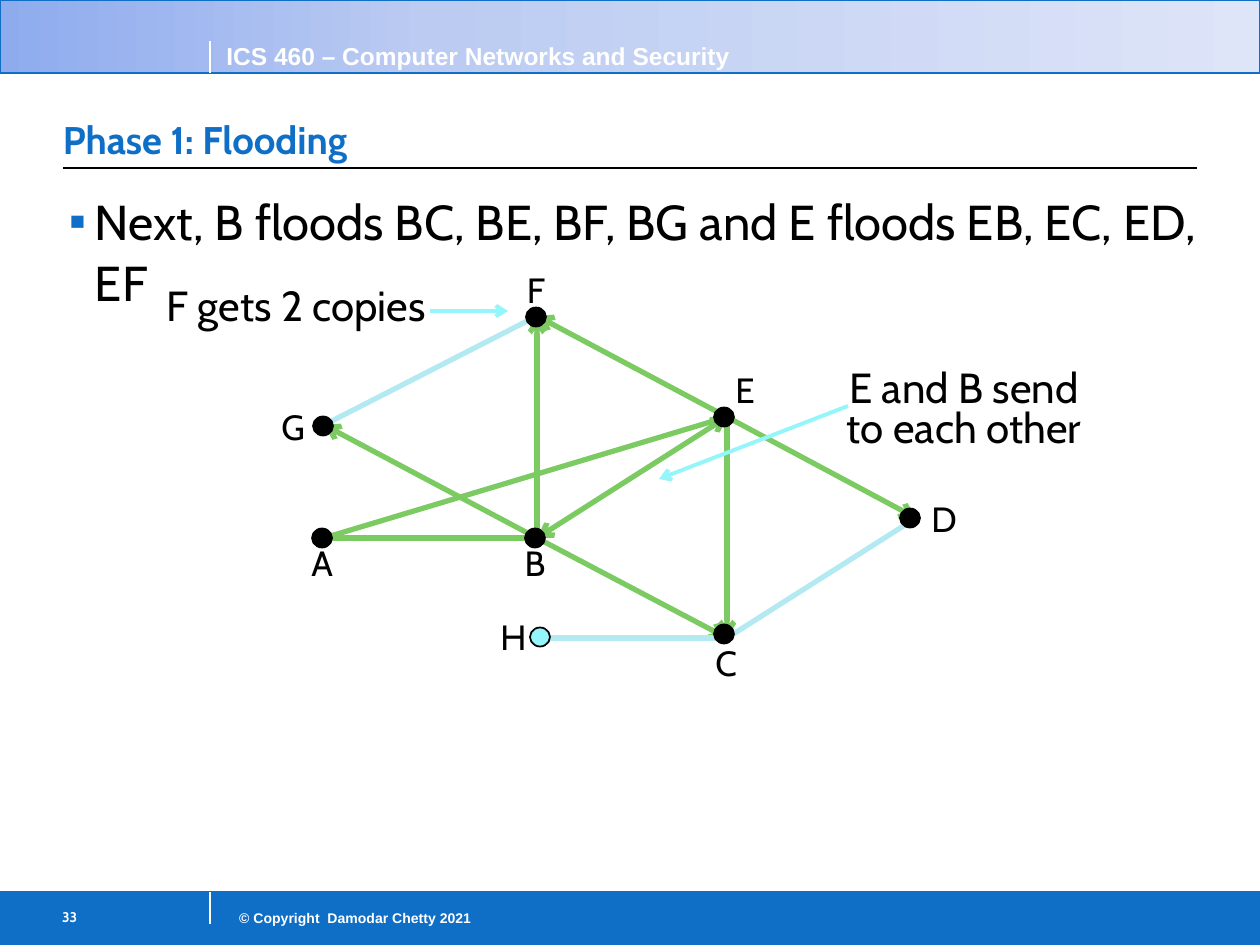
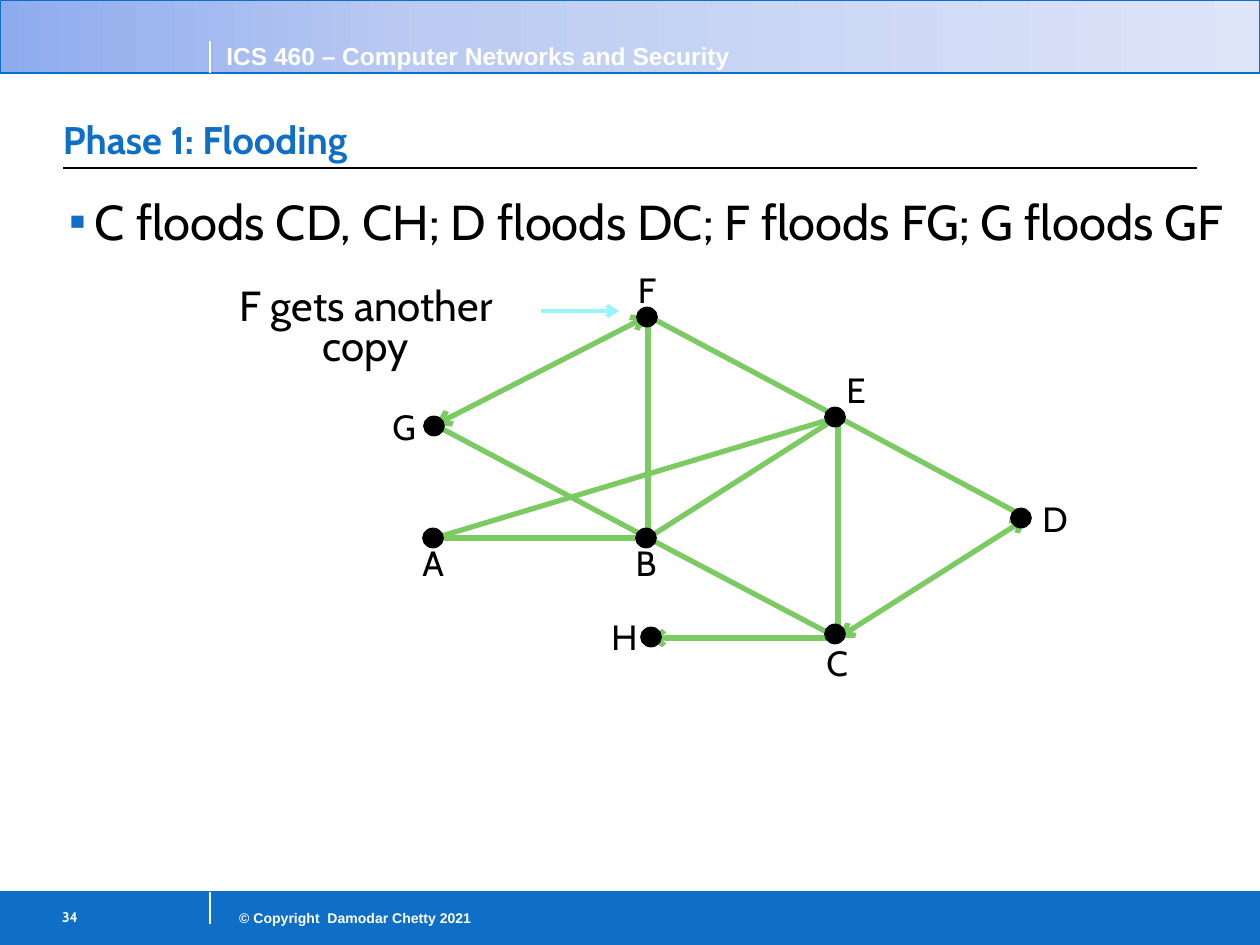
from collections import namedtuple
from copy import deepcopy

from pptx import Presentation
from pptx.dml.color import RGBColor
from pptx.enum.shapes import MSO_CONNECTOR, MSO_SHAPE
from pptx.enum.text import MSO_ANCHOR as ANCHOR, PP_ALIGN as ALIGN
from pptx.oxml.ns import qn
from pptx.util import Emu, Pt

EMU_PER_PX = 914400 / 126
SLIDE_W, SLIDE_H = 1260, 945

COLORS = {
    "blue": "0F6FC6", "white": "FFFFFF", "black": "000000",
    "flooded": "7CCA62", "idle": "B3EAF2", "pointer": "94F5FA",
}
HEADER_STOPS = [(0, "8EABEE"), (0.34, "BBCBF2"), (1, "DEE5F8")]

Box = namedtuple("Box", "left top width height")
Node = namedtuple("Node", "joint dot label")
Callout = namedtuple("Callout", "words box start end")

HEADER = Box(0, 0, SLIDE_W, 73)
FOOTER = Box(0, 892, SLIDE_W, 53)
TITLE = Box(63, 77, 1134, 91)
BODY = Box(63, 183, 1197, 679)
DIVIDER_X = 210

# Positions are relative to the top left corner of the network.
NODES = {
    "A": Node((56, 277), (54, 277), (54, 301)),
    "B": Node((269, 277), (267, 277), (267, 301)),
    "C": Node((459, 377), (456, 373), (458, 401)),
    "D": Node((648, 257), (642, 257), (674, 257)),
    "E": Node((459, 156), (456, 156), (477, 128)),
    "F": Node((269, 55), (268, 56), (268, 28)),
    "G": Node((56, 164), (55, 165), (24, 165)),
    "H": Node((269, 377), (272, 376), (243, 375)),
}
EDGES = "AB BC CE BE AE BF BG GF FE ED CD CH".split()
DOT_W, DOT_H = 20, 19
LABEL_W, LABEL_H = 46, 55

PHASES = [
    {
        "number": "33",
        "bullet": "Next, B floods BC, BE, BF, BG and E floods EB, EC, ED, EF",
        "origin": (268, 261),
        "floods": "BC BE BF BG EB EC ED EF".split(),
        "idle": ["GF", "CD", "CH"],
        "unreached": ["H"],
        "callouts": [
            Callout("E and B send to each other", Box(552, 104, 288, 95),
                    (580, 145), (391, 218)),
            Callout("F gets 2 copies", Box(-116, 22, 288, 54),
                    (162, 50), (240, 50)),
        ],
    },
    {
        "number": "34",
        "bullet": "C floods CD, CH; D floods DC; F floods FG; G floods GF",
        "origin": (379, 261),
        "floods": "CD CH DC FG GF".split(),
        "idle": [],
        "unreached": [],
        "callouts": [
            Callout("F gets another copy", Box(-195, 22, 364, 54),
                    (162, 50), (240, 50)),
        ],
    },
]


def px(length):
    return Emu(round(length * EMU_PER_PX))


def color(name):
    return RGBColor.from_string(COLORS[name])


def shift(point, origin):
    return point[0] + origin[0], point[1] + origin[1]


def centered(point, width, height):
    return Box(point[0] - width / 2, point[1] - height / 2, width, height)


def add_block(slide, kind, box, fill, line, weight):
    block = slide.shapes.add_shape(kind, *map(px, box))
    block.shadow.inherit = False
    block.fill.solid()
    block.fill.fore_color.rgb = color(fill)
    block.line.color.rgb = color(line)
    block.line.width = Pt(weight)
    return block


def add_line(slide, start, end, ink, weight, arrows=()):
    """Draw a straight line; arrows may hold "headEnd" (start), "tailEnd" (end)."""
    line = slide.shapes.add_connector(
        MSO_CONNECTOR.STRAIGHT, *map(px, (*start, *end)))
    line.line.color.rgb = color(ink)
    line.line.width = Pt(weight)
    outline = line.line._get_or_add_ln()
    for arrow in arrows:
        tip = outline.makeelement(qn(f"a:{arrow}"), {"type": "arrow"})
        outline.append(tip)
    properties = line._element.spPr
    properties.append(properties.makeelement(qn("a:effectLst"), {}))


def add_text(slide, box, words, size, font="Cabin", ink="black", bold=False,
             align=ALIGN.LEFT, spacing=None, bullet=None, **frame_format):
    frame = slide.shapes.add_textbox(*map(px, box)).text_frame
    frame.word_wrap = True
    for name, value in frame_format.items():
        setattr(frame, name, value)
    paragraph = frame.paragraphs[0]
    paragraph.text = words
    paragraph.alignment = align
    if spacing:
        paragraph.line_spacing = spacing
    if bullet:
        add_bullet(paragraph, bullet)
    for name, value in {"size": Pt(size), "name": font, "bold": bold}.items():
        setattr(paragraph.font, name, value)
    paragraph.font.color.rgb = color(ink)


def add_bullet(paragraph, mark, indent=26):
    properties = paragraph._p.get_or_add_pPr()
    properties.set("marL", str(px(indent)))
    properties.set("indent", str(-px(indent)))
    tint = properties.makeelement(qn("a:buClr"), {})
    tint.append(tint.makeelement(qn("a:srgbClr"), {"val": COLORS["blue"]}))
    properties.append(tint)
    for tag, key, value in (("buFont", "typeface", "Arial"),
                            ("buChar", "char", mark)):
        properties.append(properties.makeelement(qn(f"a:{tag}"), {key: value}))


def draw_header(slide, box):
    band = add_block(slide, MSO_SHAPE.RECTANGLE, box, "blue", "blue", 0.75)
    band.fill.gradient()
    band.fill.gradient_angle = 0
    stop_list = band._element.spPr.find(".//" + qn("a:gsLst"))
    stop_list.append(deepcopy(stop_list[-1]))
    for stop, (position, tint) in zip(band.fill.gradient_stops, HEADER_STOPS):
        stop.position = position
        stop.color.rgb = RGBColor.from_string(tint)
    bottom = box.top + box.height
    add_line(slide, (box.left, bottom), (box.left + box.width, bottom),
             "blue", 0.5)
    add_line(slide, (DIVIDER_X, bottom), (DIVIDER_X, bottom - 32),
             "white", 0.75)
    add_text(slide, Box(box.left + 214, box.top + 35, 542, 43),
             "ICS 460 – Computer Networks and Security", 14, "Arial",
             "white", True)


def draw_footer(slide, box, number):
    add_block(slide, MSO_SHAPE.RECTANGLE, box, "blue", "blue", 0.75)
    add_line(slide, (box.left, box.top), (box.left + box.width, box.top),
             "blue", 0.5)
    add_line(slide, (DIVIDER_X, box.top + 32), (DIVIDER_X, box.top),
             "white", 0.75)
    add_text(slide, Box(box.left + 210, box.top + 11, 274, 30),
             "© Copyright  Damodar Chetty 2021", 8, "Arial", "white", True,
             ALIGN.RIGHT)
    add_text(slide, Box(box.left + 42, box.top + 8, 168, 44), number, 8,
             ink="white", bold=True, margin_left=px(20), margin_top=px(9))


def draw_title(slide, box, words):
    bottom = box.top + box.height
    add_line(slide, (box.left, bottom), (box.left + box.width, bottom),
             "black", 0.75)
    add_text(slide, box, words, 22, ink="blue", bold=True, margin_left=0,
             margin_right=0, vertical_anchor=ANCHOR.BOTTOM)


def draw_body(slide, box, words):
    add_text(slide, box, words, 28, spacing=1.04, bullet="▪",
             margin_left=px(6), margin_right=px(6))


def draw_network(slide, origin, floods, idle, unreached):
    for edge in EDGES:
        start, end = (shift(NODES[name].joint, origin) for name in edge)
        arrows = []
        if edge[::-1] in floods:
            arrows.append("headEnd")
        if edge in floods:
            arrows.append("tailEnd")
        add_line(slide, start, end, "idle" if edge in idle else "flooded",
                 3, arrows)
    for name, node in NODES.items():
        add_block(slide, MSO_SHAPE.OVAL,
                  centered(shift(node.dot, origin), DOT_W, DOT_H),
                  "pointer" if name in unreached else "black", "black", 1)
    for name, node in NODES.items():
        add_text(slide, centered(shift(node.label, origin), LABEL_W, LABEL_H),
                 name, 20, align=ALIGN.CENTER, word_wrap=False,
                 vertical_anchor=ANCHOR.MIDDLE)


def draw_callout(slide, origin, callout):
    add_line(slide, shift(callout.start, origin), shift(callout.end, origin),
             "pointer", 2.25, ["tailEnd"])
    box = callout.box
    add_text(slide, Box(*shift(box[:2], origin), box.width, box.height),
             callout.words, 24, align=ALIGN.CENTER, spacing=0.8)


def draw_phase(slide, phase):
    draw_header(slide, HEADER)
    draw_footer(slide, FOOTER, phase["number"])
    draw_title(slide, TITLE, "Phase 1: Flooding")
    draw_body(slide, BODY, phase["bullet"])
    draw_network(slide, phase["origin"], phase["floods"], phase["idle"],
                 phase["unreached"])
    for callout in phase["callouts"]:
        draw_callout(slide, phase["origin"], callout)


def main():
    deck = Presentation()
    deck.slide_width, deck.slide_height = px(SLIDE_W), px(SLIDE_H)
    blank = deck.slide_layouts[6]
    for phase in PHASES:
        draw_phase(deck.slides.add_slide(blank), phase)
    deck.save("out.pptx")


if __name__ == "__main__":
    main()
